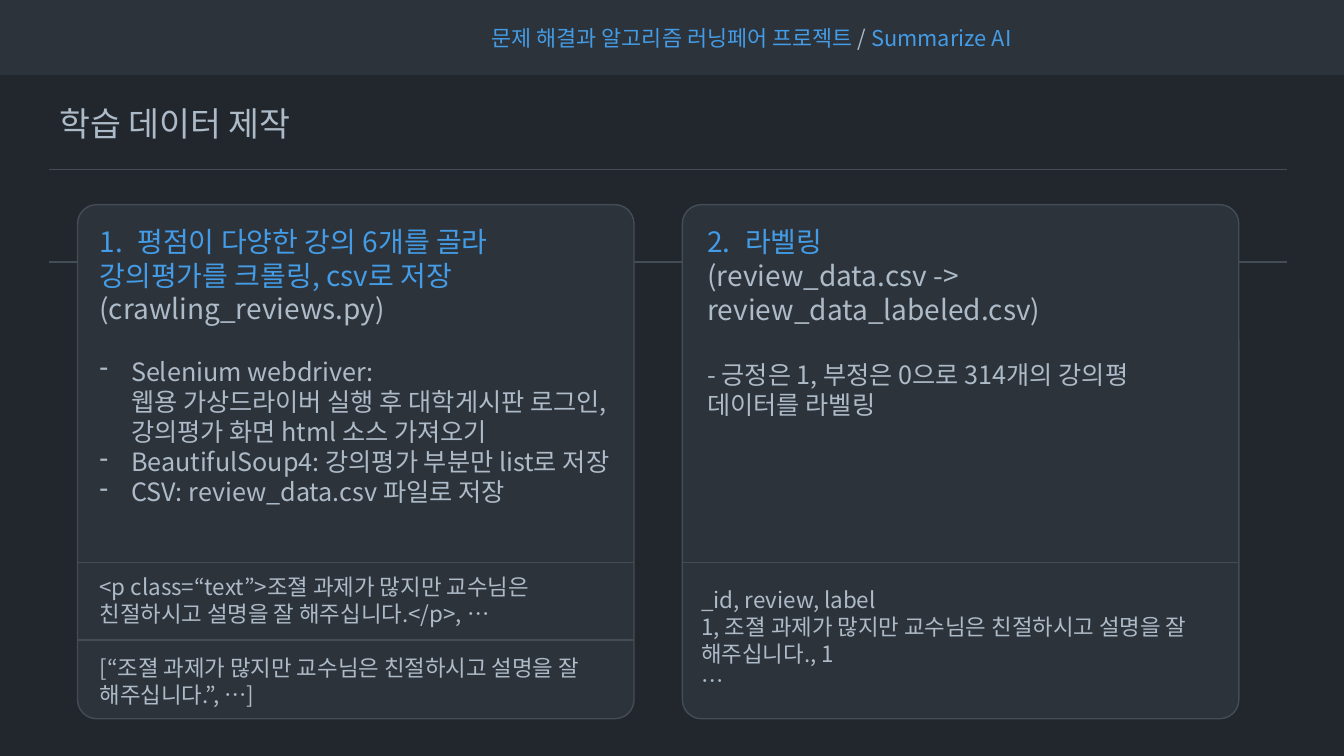
import pptx
import pptx.dml.color
import pptx.enum.shapes
import pptx.enum.text
import pptx.oxml.ns
import pptx.util
from lxml import etree

Pt = pptx.util.Pt
SHAPES = pptx.enum.shapes.MSO_SHAPE
FONT = "Noto Sans CJK KR"
COLORS = {"page": "22272E", "panel": "2D333B", "rule": "444C56",
          "text": "ADBAC7", "accent": "439CE5"}
WIDTH, HEIGHT = 960, 540
CARD_WIDTH, CARD_HEIGHT = 397.5, 367.2
CARD_TOP, CARD_LEFTS = 146.2, (55.4, 487.4)
CODE_TOP = 255.6  # from the top of a card to its code area


def rgb(name):
    return pptx.dml.color.RGBColor.from_string(COLORS[name])


def add_panel(slide, kind, box, fill, line=None):
    shape = slide.shapes.add_shape(kind, *map(Pt, box))
    shape.shadow.inherit = False
    shape.fill.solid()
    shape.fill.fore_color.rgb = rgb(fill)
    if line:
        shape.line.color.rgb = rgb(line)
        shape.line.width = Pt(1)
    else:
        shape.line.fill.background()
    return shape


def add_rule(slide, left, top, width):
    line = slide.shapes.add_connector(
        pptx.enum.shapes.MSO_CONNECTOR.STRAIGHT,
        Pt(left), Pt(top), Pt(left + width), Pt(top))
    line.line.color.rgb = rgb("rule")
    line.line.width = Pt(1)
    etree.SubElement(line._element.spPr, pptx.oxml.ns.qn("a:effectLst"))


def set_bullet(paragraph, indent, dash=None, start=1):
    properties = paragraph._p.get_or_add_pPr()
    properties.set("marL", str(Pt(indent)))
    properties.set("indent", str(-Pt(indent)))
    tag = "a:buChar" if dash else "a:buAutoNum"
    bullet = etree.SubElement(properties, pptx.oxml.ns.qn(tag))
    if dash:
        bullet.set("char", dash)
    else:
        bullet.set("type", "arabicPeriod")
        bullet.set("startAt", str(start))


def add_text(slide, box, paragraphs, anchor="TOP"):
    """Each paragraph is (size, runs, options); each run is (text, color)."""
    frame = slide.shapes.add_textbox(*map(Pt, box)).text_frame
    frame.word_wrap = True
    frame.vertical_anchor = getattr(pptx.enum.text.MSO_ANCHOR, anchor)
    for index, (size, runs, options) in enumerate(paragraphs):
        paragraph = frame.add_paragraph() if index else frame.paragraphs[0]
        if "before" in options:
            paragraph.space_before = Pt(options["before"])
        if "bullet" in options:
            set_bullet(paragraph, **options["bullet"])
        for text, color in runs:
            for part, piece in enumerate(text.split("\v")):
                if part:
                    paragraph.add_line_break()
                run = paragraph.add_run()
                run.text = piece
                run.font.size = Pt(size)
                run.font.name = FONT
                run.font.color.rgb = rgb(color)
                east_asian = etree.SubElement(
                    run._r.get_or_add_rPr(), pptx.oxml.ns.qn("a:ea"))
                east_asian.set("typeface", FONT)


def plain(size, text, **options):
    return size, [(text, "text")], options


def add_header(slide, left, top, width, height):
    add_panel(slide, SHAPES.RECTANGLE, (left, top, width, height), "panel")
    add_text(slide, (left + 344.2, top + 5.5, 679, 47), [
        (15.6, [("문제 해결과 알고리즘 러닝페어 프로젝트 ", "accent"),
                ("/", "text"), (" Summarize AI", "accent")], {})], "MIDDLE")


def add_title(slide, left, top, width):
    add_text(slide, (left, top, 811.4, 36), [plain(24, "학습 데이터 제작")])
    for offset in (51.2, 117.4):
        add_rule(slide, left, top + offset, width)


def add_card(slide, left, top, rules, body, body_box, code, code_box):
    card = add_panel(slide, SHAPES.ROUNDED_RECTANGLE,
                     (left, top, CARD_WIDTH, CARD_HEIGHT), "panel", "rule")
    card.adjustments[0] = 0.037
    for offset in rules:
        add_rule(slide, left, top + offset, CARD_WIDTH)
    for (x, y, width, height), content in ((body_box, body), (code_box, code)):
        add_text(slide, (left + x, top + y, width, height), content)


def add_crawling_card(slide, left, top):
    dash = {"indent": 22.5, "dash": "-"}
    body = [
        (20, [("평점이 다양한 강의 6개를 골라", "accent")],
         {"bullet": {"indent": 27}}),
        (20, [("강의평가를 크롤링, csv로 저장", "accent"),
              ("(crawling_reviews.py)", "text")], {}),
        plain(18, "Selenium webdriver:\v웹용 가상드라이버 실행 후 대학게시판 "
              "로그인, 강의평가 화면 html 소스 가져오기",
              before=21.6, bullet=dash),
        plain(18, "BeautifulSoup4: 강의평가 부분만 list로 저장", bullet=dash),
        plain(18, "CSV: review_data.csv 파일로 저장", bullet=dash),
    ]
    review = "조졀 과제가 많지만 교수님은 친절하시고 설명을 잘 해주십니다."
    code = [plain(16, f"<p class=“text”>{review}</p>, …"),
            plain(16, f"[“{review}”, …]", before=19.2)]
    add_card(slide, left, top, (CODE_TOP, 311), body, (8.6, 10.8, 381, 211),
             code, (8.6, 259.9, 381, 104.4))


def add_labeling_card(slide, left, top):
    body = [
        (20, [("라벨링", "accent")], {"bullet": {"indent": 27, "start": 2}}),
        plain(20, "(review_data.csv -> review_data_labeled.csv)"),
        plain(18, "- 긍정은 1, 부정은 0으로 314개의 강의평 데이터를 라벨링",
              before=24),
    ]
    code = [plain(16, text) for text in (
        "_id, review, label",
        "1, 조졀 과제가 많지만 교수님은 친절하시고 설명을 잘 해주십니다., 1",
        "…")]
    add_card(slide, left, top, (CODE_TOP,), body, (10.8, 10.8, 374.4, 147.6),
             code, (6.5, 269.2, 384.5, 85))


def main():
    presentation = pptx.Presentation()
    presentation.slide_width = Pt(WIDTH)
    presentation.slide_height = Pt(HEIGHT)
    slide = presentation.slides.add_slide(presentation.slide_layouts[6])
    # Background and header bar
    add_panel(slide, SHAPES.RECTANGLE, (0, 0, WIDTH, HEIGHT), "page")
    add_header(slide, 0, -2.2, WIDTH, 56)
    # Title with its rules, then the two cards over them
    add_title(slide, 35.3, 69.8, 884)
    add_crawling_card(slide, CARD_LEFTS[0], CARD_TOP)
    add_labeling_card(slide, CARD_LEFTS[1], CARD_TOP)
    presentation.save("out.pptx")


if __name__ == "__main__":
    main()
